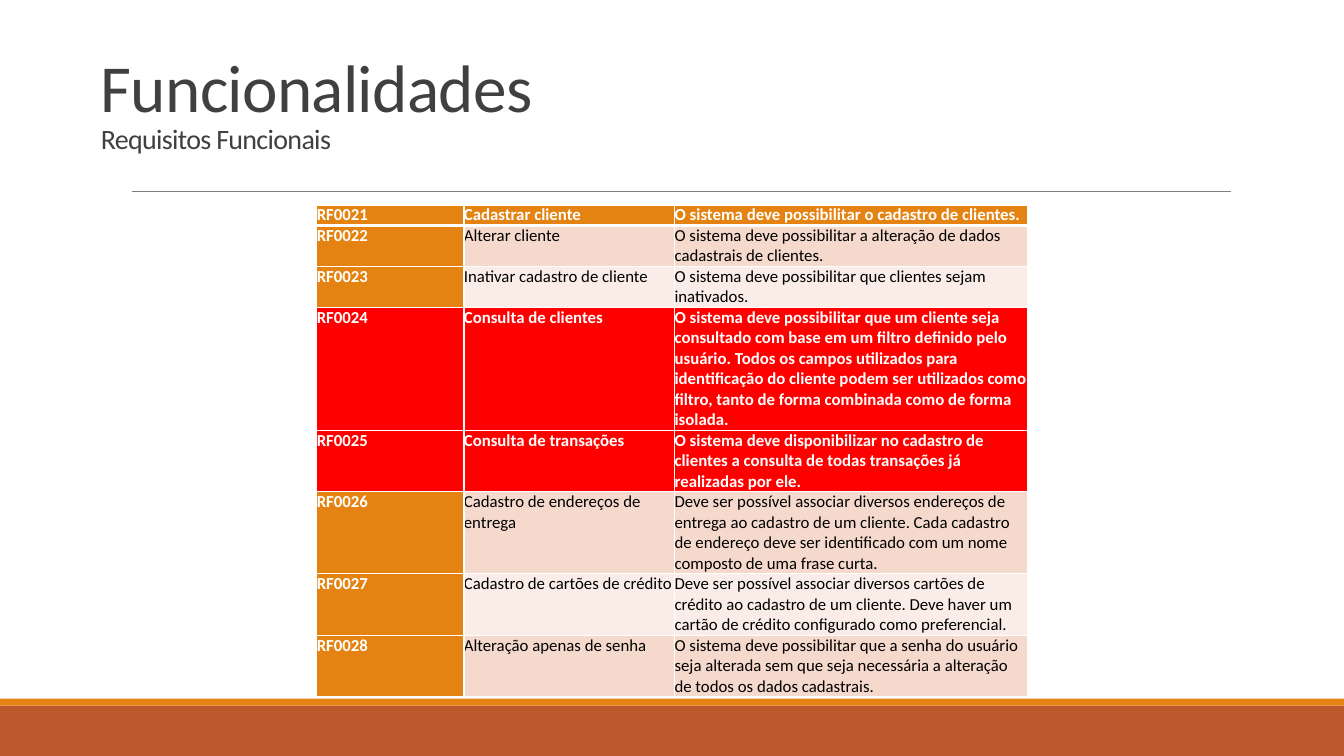
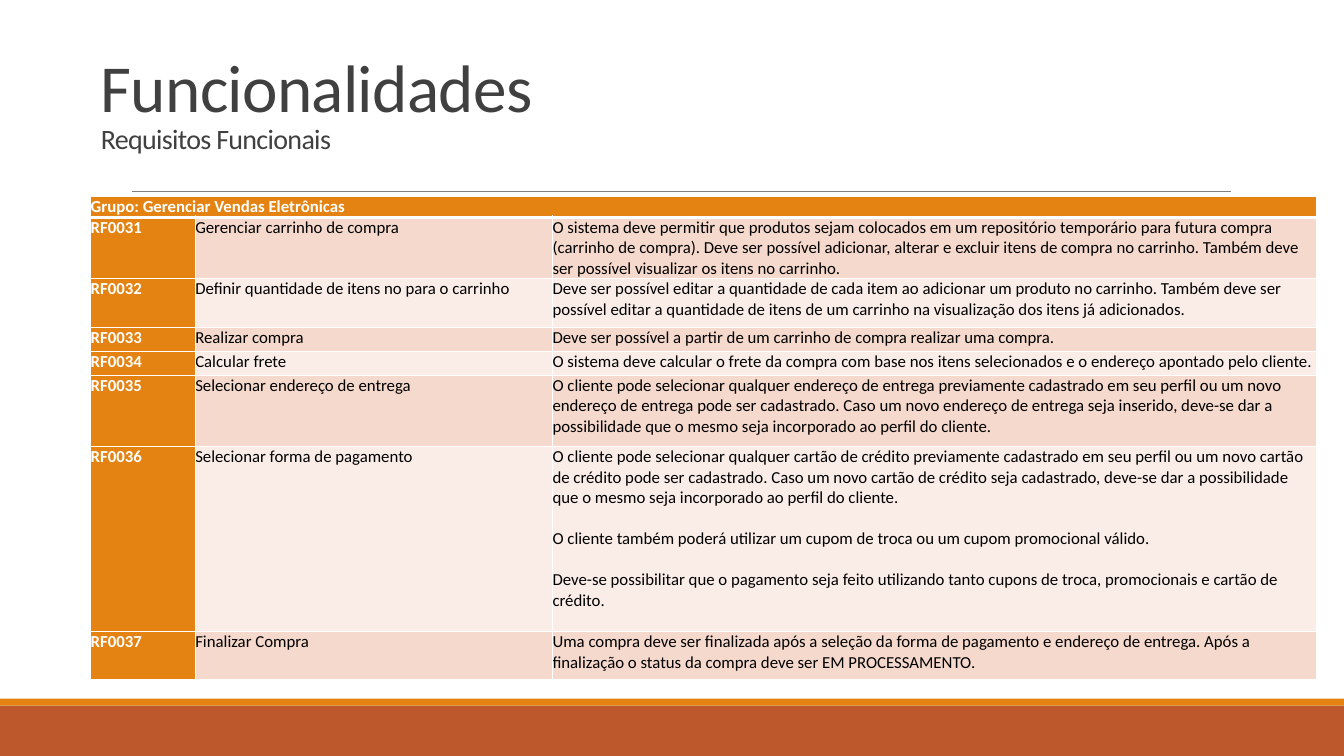
from lxml.etree import SubElement
from pptx import Presentation
from pptx.dml.color import RGBColor
from pptx.enum.shapes import MSO_CONNECTOR as CONNECTOR, MSO_SHAPE as SHAPE
from pptx.enum.text import MSO_ANCHOR as ANCHOR, MSO_AUTO_SIZE as AUTO_SIZE, PP_ALIGN as ALIGN
from pptx.oxml.ns import qn
from pptx.util import Pt

FONT = "Calibri"
WHITE, BLACK, GREY, RULE = "FFFFFF", "000000", "404040", "808080"
ORANGE, RUST, RED = "E48312", "BD582C", "FF0000"
BANDS = ("FAEDE7", "F5D9CC")
WIDTH, HEIGHT = 960, 540
LINE = 14.4

TITLE, SUBTITLE = "Funcionalidades", "Requisitos Funcionais"

CUSTOMERS = dict(
    left=226.3, top=146.4, widths=(105.1, 150.5, 252),
    heights=[LINE * lines for lines in (1, 2, 2, 6, 3, 4, 3, 3)],
    alerts=("RF0024", "RF0025"),
    rows=[
        ("RF0021", "Cadastrar cliente", "O sistema deve possibilitar o cadastro de clientes."),
        ("RF0022", "Alterar cliente",
         "O sistema deve possibilitar a alteração de dados cadastrais de clientes."),
        ("RF0023", "Inativar cadastro de cliente",
         "O sistema deve possibilitar que clientes sejam inativados."),
        ("RF0024", "Consulta de clientes",
         "O sistema deve possibilitar que um cliente seja consultado com base em um filtro "
         "definido pelo usuário. Todos os campos utilizados para identificação do cliente podem "
         "ser utilizados como filtro, tanto de forma combinada como de forma isolada."),
        ("RF0025", "Consulta de transações",
         "O sistema deve disponibilizar no cadastro de clientes a consulta de todas transações "
         "já realizadas por ele."),
        ("RF0026", "Cadastro de endereços de entrega",
         "Deve ser possível associar diversos endereços de entrega ao cadastro de um cliente. "
         "Cada cadastro de endereço deve ser identificado com um nome composto de uma frase curta."),
        ("RF0027", "Cadastro de cartões de crédito",
         "Deve ser possível associar diversos cartões de crédito ao cadastro de um cliente. "
         "Deve haver um cartão de crédito configurado como preferencial."),
        ("RF0028", "Alteração apenas de senha",
         "O sistema deve possibilitar que a senha do usuário seja alterada sem que seja "
         "necessária a alteração de todos os dados cadastrais."),
    ])

SALES = dict(
    left=64.8, top=140.6, widths=(74.7, 255.2, 546),
    heights=(LINE, 43.2, 34.5, 17.2, 17.2, 51.2, 132, 34),
    alerts=(),
    rows=[
        ("Grupo: Gerenciar Vendas Eletrônicas",),
        ("RF0031", "Gerenciar carrinho de compra",
         "O sistema deve permitir que produtos sejam colocados em um repositório temporário para "
         "futura compra (carrinho de compra). Deve ser possível adicionar, alterar e excluir itens "
         "de compra no carrinho. Também deve ser possível visualizar os itens no carrinho."),
        ("RF0032", "Definir quantidade de itens no para o carrinho",
         "Deve ser possível editar a quantidade de cada item ao adicionar um produto no carrinho. "
         "Também deve ser possível editar a quantidade de itens de um carrinho na visualização dos "
         "itens já adicionados."),
        ("RF0033", "Realizar compra",
         "Deve ser possível a partir de um carrinho de compra realizar uma compra."),
        ("RF0034", "Calcular frete",
         "O sistema deve calcular o frete da compra com base nos itens selecionados e o endereço "
         "apontado pelo cliente."),
        ("RF0035", "Selecionar endereço de entrega",
         "O cliente pode selecionar qualquer endereço de entrega previamente cadastrado em seu "
         "perfil ou um novo endereço de entrega pode ser cadastrado. Caso um novo endereço de "
         "entrega seja inserido, deve-se dar a possibilidade que o mesmo seja incorporado ao perfil "
         "do cliente."),
        ("RF0036", "Selecionar forma de pagamento",
         "O cliente pode selecionar qualquer cartão de crédito previamente cadastrado em seu perfil "
         "ou um novo cartão de crédito pode ser cadastrado. Caso um novo cartão de crédito seja "
         "cadastrado, deve-se dar a possibilidade que o mesmo seja incorporado ao perfil do cliente.\n"
         "O cliente também poderá utilizar um cupom de troca ou um cupom promocional válido.\n"
         "Deve-se possibilitar que o pagamento seja feito utilizando tanto cupons de troca, "
         "promocionais e cartão de crédito."),
        ("RF0037", "Finalizar Compra",
         "Uma compra deve ser finalizada após a seleção da forma de pagamento e endereço de entrega. "
         "Após a finalização o status da compra deve ser EM PROCESSAMENTO."),
    ])


def rgb(value):
    return RGBColor.from_string(value)


def add_text(p, text, size=12, color=BLACK, bold=False, spacing=0):
    r = p.add_run()
    r.text = text
    r.font.name, r.font.size, r.font.bold = FONT, Pt(size), bold
    r.font.color.rgb = rgb(color)
    if spacing:
        r.font._element.set("spc", str(int(spacing * 100)))


def add_band(s, top, height, color):
    sp = s.shapes.add_shape(SHAPE.RECTANGLE, 0, Pt(top), Pt(WIDTH), Pt(height))
    sp.shadow.inherit = False
    sp.fill.solid()
    sp.fill.fore_color.rgb = rgb(color)
    sp.line.fill.background()
    return sp


def add_rule(s, left, right, y):
    line = s.shapes.add_connector(CONNECTOR.STRAIGHT, Pt(left), Pt(y), Pt(right), Pt(y))
    line.line.color.rgb = rgb(RULE)
    line.line.width = Pt(0.5)
    SubElement(line.element.spPr, qn("a:effectLst"))
    return line


def decorate_layout(layout, s):
    for sp in (add_band(s, 504, 36, RUST), add_band(s, 499, 5, ORANGE),
               add_rule(s, 94.3, 879, 136.8)):
        layout.shapes.element.append(sp.element)


def set_title(s):
    title = s.shapes.title
    title.left, title.top, title.width, title.height = Pt(64.8), 0, Pt(792), Pt(114.5)
    tf = title.text_frame
    tf.word_wrap, tf.auto_size, tf.vertical_anchor = True, AUTO_SIZE.NONE, ANCHOR.BOTTOM
    p = tf.paragraphs[0]
    p.alignment, p.line_spacing = ALIGN.LEFT, 0.85
    add_text(p, TITLE, size=48, color=GREY, spacing=-0.5)
    p.add_line_break()
    add_text(p, SUBTITLE, size=20, color=GREY, spacing=-0.5)


def set_borders(cell, top, bottom):
    tc_pr = cell._tc.get_or_add_tcPr()
    for side, width in (("L", 1), ("R", 1), ("T", top), ("B", bottom)):
        ln = SubElement(tc_pr, qn(f"a:ln{side}"), w=str(Pt(width)))
        SubElement(SubElement(ln, qn("a:solidFill")), qn("a:srgbClr"), val=WHITE)


def set_cell(cell, text, fill, color, bold):
    cell.margin_left = cell.margin_right = cell.margin_top = cell.margin_bottom = 0
    cell.fill.solid()
    cell.fill.fore_color.rgb = rgb(fill)
    tf = cell.text_frame
    for i, part in enumerate(text.split("\n")):
        p = tf.add_paragraph() if i else tf.paragraphs[0]
        if i:
            p.space_before = Pt(14.6)
        add_text(p, part, color=color, bold=bold)


def add_requirements(s, left, top, widths, heights, alerts, rows):
    table = s.shapes.add_table(len(rows), len(widths), Pt(left), Pt(top),
                               Pt(sum(widths)), Pt(sum(heights))).table
    for column, width in zip(table.columns, widths):
        column.width = Pt(width)
    for i, (row, height) in enumerate(zip(rows, heights)):
        table.rows[i].height = Pt(height)
        for cell in table.rows[i].cells:
            set_borders(cell, top=3 if i == 1 else 1, bottom=1 if i else 3)
        if len(row) == 1:
            table.cell(i, 0).merge(table.cell(i, len(widths) - 1))
        alert = row[0] in alerts
        for j, text in enumerate(row):
            strong = alert or i == 0 or j == 0
            fill = RED if alert else ORANGE if strong else BANDS[i % 2]
            set_cell(table.cell(i, j), text, fill, WHITE if strong else BLACK, strong)


def main():
    prs = Presentation()
    prs.slide_width, prs.slide_height = Pt(WIDTH), Pt(HEIGHT)
    layout = prs.slide_layouts[5]
    for i, requirements in enumerate((CUSTOMERS, SALES)):
        s = prs.slides.add_slide(layout)
        if i == 0:
            decorate_layout(layout, s)
        set_title(s)
        add_requirements(s, **requirements)
    prs.save("out.pptx")


if __name__ == "__main__":
    main()
